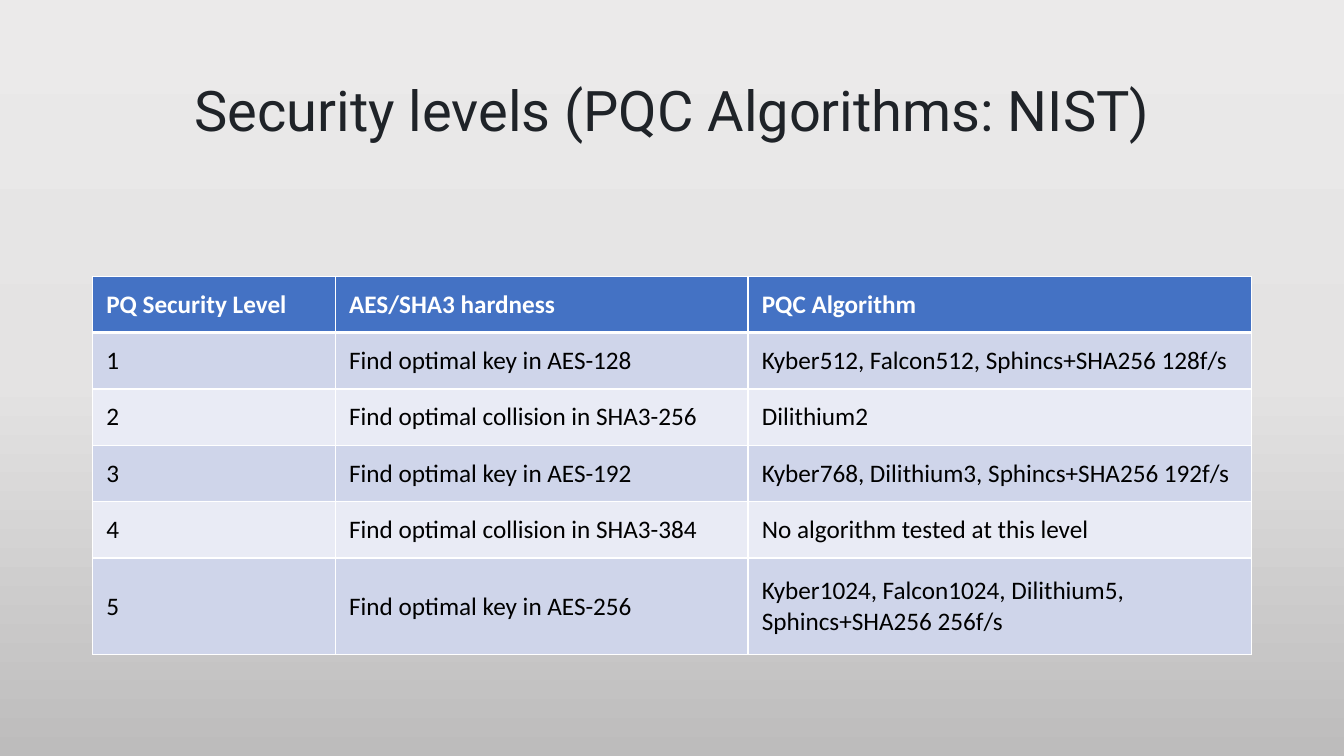
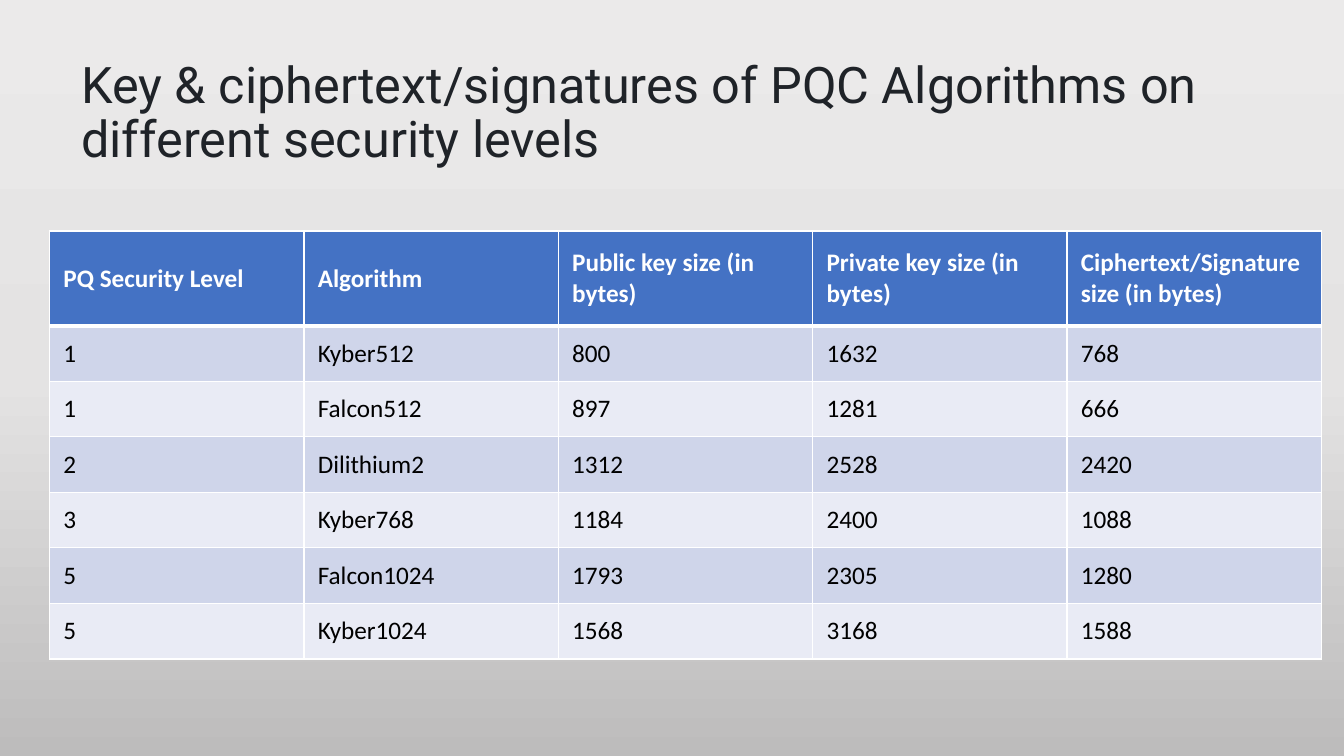
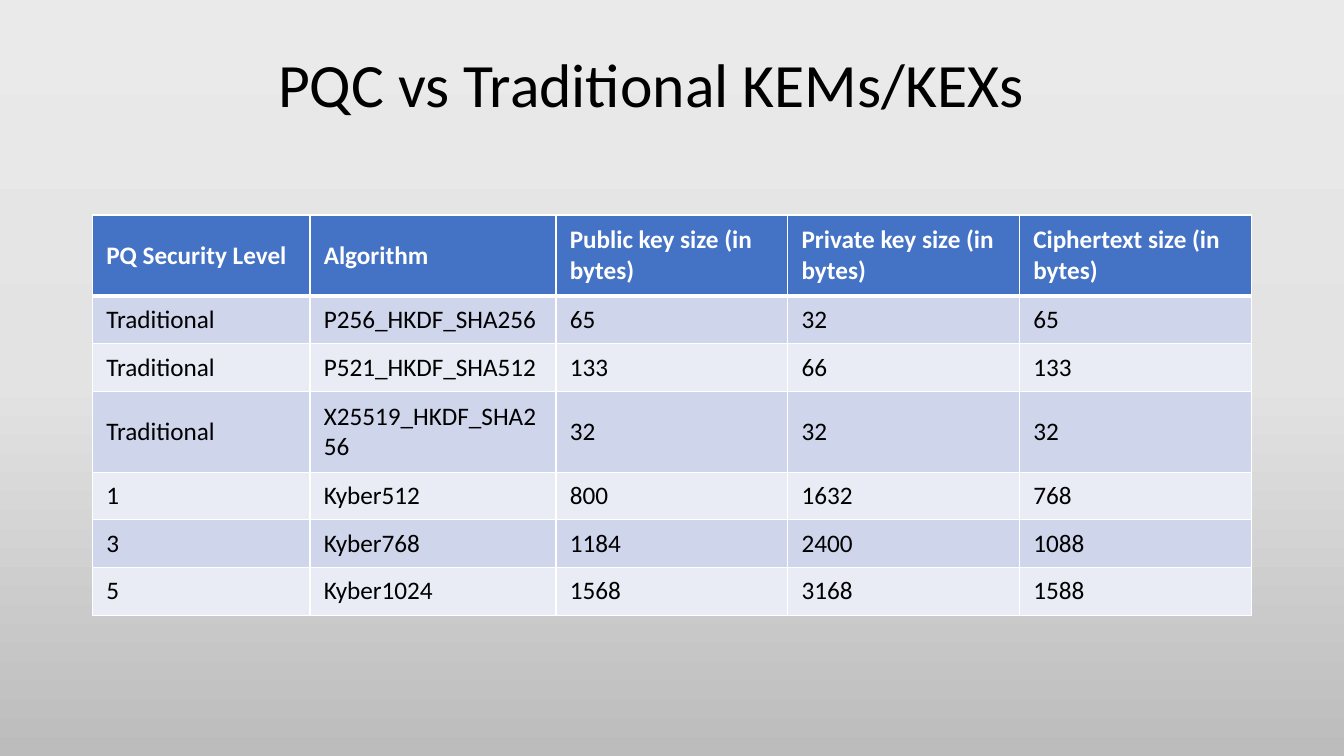
from copy import deepcopy

from lxml import etree
from pptx import Presentation
from pptx.dml.color import RGBColor as Rgb
from pptx.enum.text import MSO_ANCHOR as Anchor, PP_ALIGN as Align
from pptx.oxml.ns import qn
from pptx.util import Cm, Pt

# Shared look
INK = {
    "head": "4472C4", "odd": "CFD5EA", "even": "E9EBF5",
    "white": "FFFFFF", "black": "000000", "title": "1F2328",
}
GRADE = [(0, "EBEAEA"), (50, "E4E3E3"), (100, "BDBCBC")]
FONT = "Calibri"
SIZE = 18
PAD_X, PAD_Y = 0.35, 0.16

# Content: lengths in cm; "tall" maps a row to its own height
LEVEL = "PQ Security Level"
KEYS = ["Public key size (in bytes)", "Private key size (in bytes)"]
KYBER = {
    512: ["Kyber512", "800", "1632", "768"],
    768: ["Kyber768", "1184", "2400", "1088"],
    1024: ["Kyber1024", "1568", "3168", "1588"],
}

SLIDES = [
    {
        "title": "Security levels (PQC Algorithms: NIST)",
        "box": (2.33, 1.01, 29.21, 3.68),
        "font": "Roboto", "size": 40, "ink": "title", "align": Align.CENTER,
        "at": (2.33, 6.96), "cols": [6.12, 10.4, 12.69],
        "row": 1.42, "tall": {5: 2.44},
        "rows": [
            [LEVEL, "AES/SHA3 hardness", "PQC Algorithm"],
            ["1", "Find optimal key in AES-128",
             "Kyber512, Falcon512, Sphincs+SHA256 128f/s"],
            ["2", "Find optimal collision in SHA3-256", "Dilithium2"],
            ["3", "Find optimal key in AES-192",
             "Kyber768, Dilithium3, Sphincs+SHA256 192f/s"],
            ["4", "Find optimal collision in SHA3-384",
             "No algorithm tested at this level"],
            ["5", "Find optimal key in AES-256",
             "Kyber1024, Falcon1024, Dilithium5, Sphincs+SHA256 256f/s"],
        ],
    },
    {
        "title": "Key & ciphertext/signatures of PQC Algorithms "
                 "on different security levels",
        "box": (1.8, 1.04, 30.99, 3.68),
        "font": "Roboto", "size": 36, "ink": "title", "align": Align.LEFT,
        "at": (1.25, 5.82), "cols": [6.41] * 5,
        "row": 1.4, "tall": {0: 2.39},
        "rows": [
            [LEVEL, "Algorithm", *KEYS, "Ciphertext/Signature size (in bytes)"],
            ["1", *KYBER[512]],
            ["1", "Falcon512", "897", "1281", "666"],
            ["2", "Dilithium2", "1312", "2528", "2420"],
            ["3", *KYBER[768]],
            ["5", "Falcon1024", "1793", "2305", "1280"],
            ["5", *KYBER[1024]],
        ],
    },
    {
        "title": "PQC vs Traditional KEMs/KEXs",
        "box": (6.76, 0.36, 29.21, 3.68),
        "font": FONT, "size": 44, "ink": "black", "align": Align.LEFT,
        "at": (2.33, 5.42), "cols": [5.48, 6.2] + [5.84] * 3,
        "row": 1.2, "tall": {0: 2.04, 3: 2.04},
        "rows": [
            [LEVEL, "Algorithm", *KEYS, "Ciphertext size (in bytes)"],
            ["Traditional", "P256_HKDF_SHA256", "65", "32", "65"],
            ["Traditional", "P521_HKDF_SHA512", "133", "66", "133"],
            ["Traditional", "X25519_HKDF_SHA256", "32", "32", "32"],
            ["1", *KYBER[512]],
            ["3", *KYBER[768]],
            ["5", *KYBER[1024]],
        ],
    },
]


def color(name):
    return Rgb.from_string(INK[name])


def add_run(para, text, font, size, ink, bold=False):
    run = para.add_run()
    run.text = text
    run.font.name = font
    run.font.size = Pt(size)
    run.font.bold = bold
    run.font.color.rgb = color(ink)


def set_back(master):
    """Give every slide the same top-down gradient."""
    fill = master.background.fill
    fill.gradient()
    fill.gradient_angle = 270
    stops = next(master.element.iter(qn("a:gsLst")))
    stops.insert(1, deepcopy(stops[0]))
    for stop, (pos, tone) in zip(fill.gradient_stops, GRADE):
        stop.position = pos / 100
        stop.color.rgb = Rgb.from_string(tone)


def add_title(slide, data):
    frame = slide.shapes.add_textbox(*map(Cm, data["box"])).text_frame
    frame.word_wrap = True
    frame.vertical_anchor = Anchor.MIDDLE
    para = frame.paragraphs[0]
    para.alignment = data["align"]
    para.line_spacing = 0.9
    add_run(para, data["title"], data["font"], data["size"], data["ink"])


def set_edges(cell, thick):
    """White lines: 3 pt on the sides in thick, 1 pt elsewhere."""
    props = cell._tc.get_or_add_tcPr()
    for i, side in enumerate("LRTB"):
        line = etree.Element(qn(f"a:ln{side}"))
        line.set("w", str(Pt(3 if side in thick else 1)))
        fill = etree.SubElement(line, qn("a:solidFill"))
        etree.SubElement(fill, qn("a:srgbClr")).set("val", INK["white"])
        props.insert(i, line)


def fill_cell(cell, text, row):
    head = row == 0
    cell.vertical_anchor = Anchor.MIDDLE
    cell.margin_left = cell.margin_right = Cm(PAD_X)
    cell.margin_top = cell.margin_bottom = Cm(PAD_Y)
    cell.fill.solid()
    cell.fill.fore_color.rgb = color(
        "head" if head else "odd" if row % 2 else "even")
    set_edges(cell, {0: "B", 1: "T"}.get(row, ""))
    add_run(cell.text_frame.paragraphs[0], text, FONT, SIZE,
            "white" if head else "black", head)


def add_grid(slide, data):
    rows, cols = data["rows"], data["cols"]
    highs = [data["tall"].get(r, data["row"]) for r in range(len(rows))]
    spot = (*data["at"], sum(cols), sum(highs))
    grid = slide.shapes.add_table(len(rows), len(cols), *map(Cm, spot)).table
    for col, wide in zip(grid.columns, cols):
        col.width = Cm(wide)
    for r, (line, high) in enumerate(zip(rows, highs)):
        grid.rows[r].height = Cm(high)
        for c, text in enumerate(line):
            fill_cell(grid.cell(r, c), text, r)


def main():
    prs = Presentation()
    prs.slide_width, prs.slide_height = Cm(33.87), Cm(19.05)
    set_back(prs.slide_master)
    blank = prs.slide_layouts[6]
    for data in SLIDES:
        slide = prs.slides.add_slide(blank)
        add_title(slide, data)
        add_grid(slide, data)
    prs.save("out.pptx")


if __name__ == "__main__":
    main()
